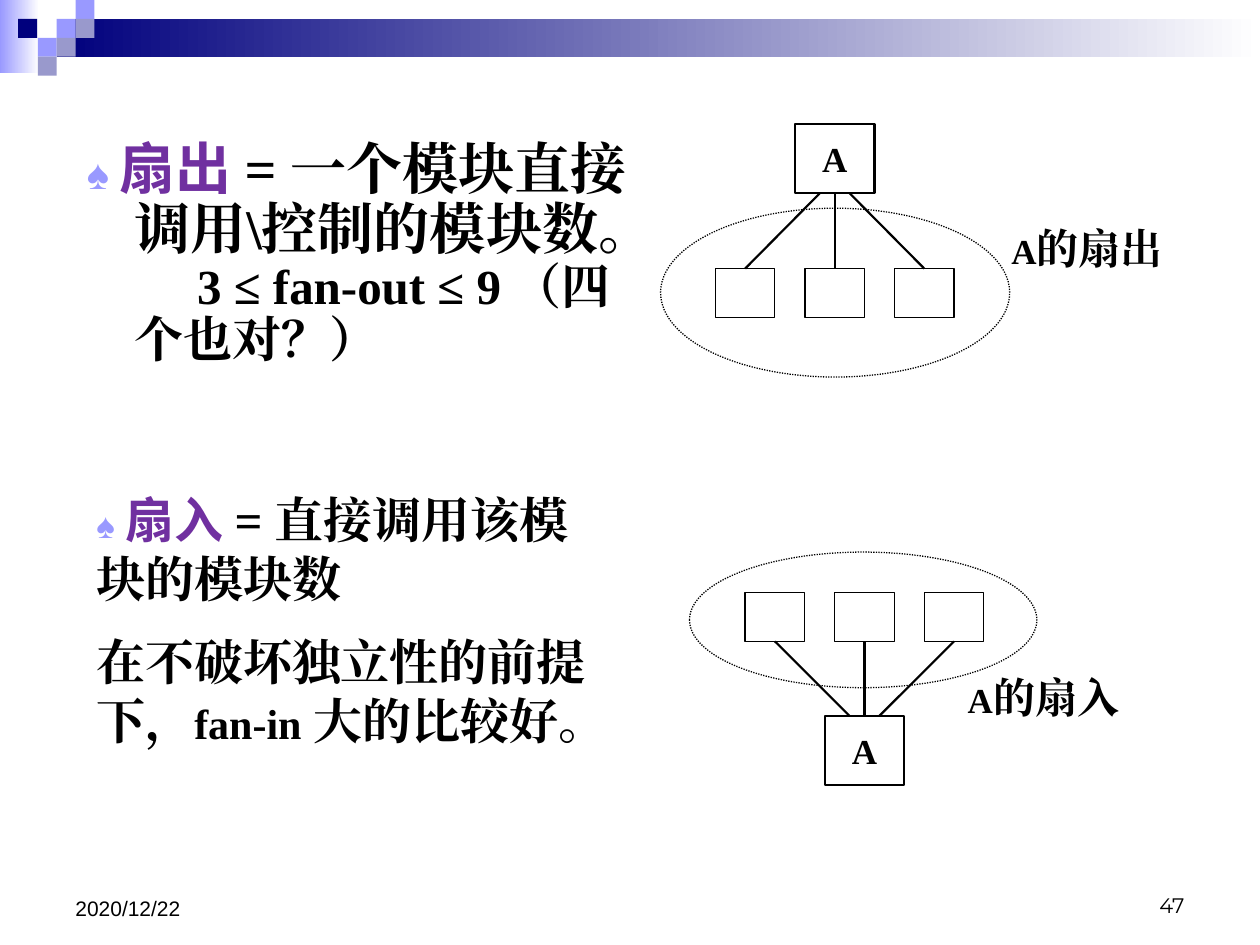
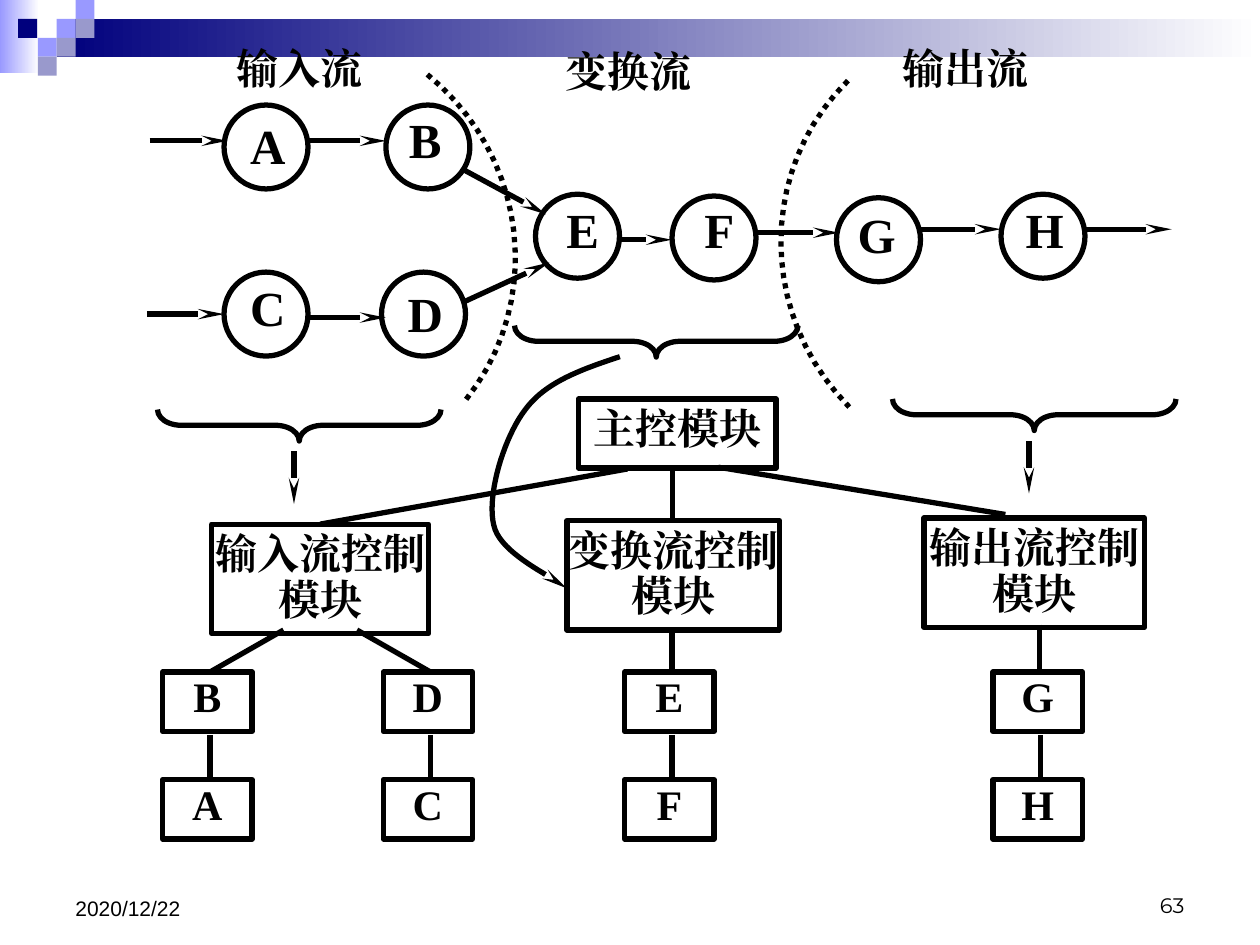
from lxml import etree
from pptx import Presentation
from pptx.dml.color import RGBColor
from pptx.enum.dml import MSO_LINE
from pptx.enum.shapes import MSO_CONNECTOR, MSO_SHAPE
from pptx.enum.text import MSO_ANCHOR, MSO_AUTO_SIZE, PP_ALIGN
from pptx.oxml.ns import qn
from pptx.util import Pt

RECT, OVAL, BRACE = MSO_SHAPE.RECTANGLE, MSO_SHAPE.OVAL, MSO_SHAPE.LEFT_BRACE
LEFT, CENTER, RIGHT, JUSTIFY = PP_ALIGN.LEFT, PP_ALIGN.CENTER, PP_ALIGN.RIGHT, PP_ALIGN.JUSTIFY
TOP, MIDDLE, BOTTOM = MSO_ANCHOR.TOP, MSO_ANCHOR.MIDDLE, MSO_ANCHOR.BOTTOM
DOTS = MSO_LINE.ROUND_DOT
STRAIGHT = MSO_CONNECTOR.STRAIGHT

BLACK, WHITE, PURPLE = "000000", "FFFFFF", "7030A0"
NAVY, LILAC, GREY_LILAC = "00007D", "9999FF", "9999CC"
SERIF, SANS, CJK, NUMERALS = "Times New Roman", "Arial", "Noto Sans CJK JP", "Montserrat"
DATE = "2020/12/22"

# Shared band: gradient bars and a mosaic of small squares
BARS = [(0, 0, 22.5, 42, LILAC), (32.4, 10.8, 687.6, 21.6, NAVY)]
TILE = 10.8
TILES = [(32.4, 10.8, LILAC), (43.2, 0, LILAC), (43.2, 10.8, GREY_LILAC),
         (21.6, 21.6, LILAC), (10.4, 10.8, NAVY), (32.4, 21.6, GREY_LILAC),
         (21.6, 32.4, GREY_LILAC)]

# Fan-out and fan-in
FAN_OUT_TEXT = [[
    ("♠ ", dict(size=24, color=LILAC)),
    ("扇出 ", dict(size=32, color=PURPLE, font=CJK)),
    ("= 一个模块直接调用\\控制的模块数。", dict(size=32)),
    ("\t3 ≤ fan-out ≤ 9\t（四个也对？）", dict(size=28)),
]]
FAN_OUT_TABS = (49.5, 116)
FAN_IN_TEXT = [
    [("♠", dict(size=20, color=LILAC)),
     (" ", dict(size=24)),
     ("扇入 ", dict(size=28, color=PURPLE, font=CJK)),
     ("= 直接调用该模块的模块数", dict(size=28))],
    [("在不破坏独立性的前提下，", dict(size=28)),
     ("fan-in", dict(size=24)),
     (" 大的比较好。", dict(size=28))],
]
FANS = [
    dict(center=477, hub_y=71, leaf_y=153.5, ellipse=(377.5, 119, 199.5, 96.5),
         label="的扇出", label_at=(576.5, 118, 105, 47), label_inset=(1.5, 3.6)),
    dict(center=494, hub_y=409, leaf_y=338.5, ellipse=(394, 315.5, 198.5, 77.5),
         label="的扇入", label_at=(551.5, 378, 94.5, 31), label_inset=(1.5, 0)),
]
HUB_W, HUB_H, LEAF_W, LEAF_H = 45.5, 39.5, 34, 28
LEAF_STEP, HUB_STEP = 51.2, 8.6

# Data flow diagram turned into a module tree
STREAMS = [("输入流", 128, 24), ("变换流", 316, 26), ("输出流", 508.5, 24)]
NODES = {  # name: circle left and top, letter left and top
    "A": (128, 60, 132, 66), "B": (220.5, 60, 222, 62.5),
    "C": (128, 155.5, 132, 158.5), "D": (218, 155.5, 222, 162),
    "E": (306, 111, 312, 114), "F": (384, 112, 390, 114),
    "G": (478, 113, 480, 116.5), "H": (572, 111, 576, 114),
}
FLOWS = [
    (175.5, 80.5, 220.5, 80.5), (175.5, 181.5, 220.5, 181.5),
    (85.5, 80.5, 130, 80.5), (84, 179.5, 128, 179.5),
    (264, 173, 314, 150), (354, 137, 384, 137), (264, 96.5, 312, 122.5),
    (432, 133, 479.5, 133), (525.5, 131, 572, 131), (620, 131, 669.5, 131),
    (168, 258, 168, 288), (588, 252, 588, 282),
]
BOUNDARIES = [  # start point, then control, control, end for each curve
    [(266.4, 228.2), (311, 172.1), (301.7, 89.3), (244.1, 42.5)],
    [(484.6, 46.1), (433.4, 96.5), (433.4, 180), (485.3, 232.6)],
]
MAPPING = [(354.2, 203.8), (332.6, 211), (311.8, 218.2), (300.2, 234),
           (288, 249.8), (277.9, 283), (282.2, 300.2),
           (285.8, 316.8), (316.8, 329.8), (324, 336.2)]
BRACES = [(162, 162), (582, 156), (366, 114)]
CONTROLS = [
    ("主控模块", 330.5, 228, 113, 39.5, 0.72),
    ("输入流控制模块", 121, 299.5, 124, 62.5, 0.9),
    ("变换流控制模块", 324, 297.5, 121.5, 62.5, 0.9),
    ("输出流控制模块", 528, 296, 126, 62.5, 0.9),
]
BRANCHES = [
    (358.5, 268, 183, 299.5), (384.5, 267, 384.5, 297.5), (410.5, 267, 574.5, 294),
    (162, 360, 120, 384), (204, 360, 246, 384), (384, 359.5, 384, 384.5),
    (594, 357, 594, 384.5),
]
MODULE_COLUMNS = [("BA", 93), ("DC", 219), ("EF", 357), ("GH", 567.5)]
MODULE_ROWS = (384, 445.5)


def rgb(color):
    return RGBColor.from_string(color)


def write(tf, paras, size=24, color=BLACK, font=SERIF, bold=True, align=LEFT,
          anchor=TOP, inset=(7.2, 3.6), spacing=None, gap=0):
    """Fill a text frame; paras is a string or lists of (text, run format)."""
    tf.word_wrap = True
    tf.auto_size = MSO_AUTO_SIZE.NONE
    tf.vertical_anchor = anchor
    tf.margin_left = tf.margin_right = Pt(inset[0])
    tf.margin_top = tf.margin_bottom = Pt(inset[1])
    base = dict(size=size, color=color, font=font, bold=bold)
    if isinstance(paras, str):
        paras = [[(paras, {})]]
    for i, runs in enumerate(paras):
        p = tf.add_paragraph() if i else tf.paragraphs[0]
        p.alignment = align
        p.space_before = Pt(gap if i else 0)
        if spacing:
            p.line_spacing = spacing
        for text, own in runs:
            fmt = {**base, **own}
            r = p.add_run()
            r.text = text
            r.font.size, r.font.bold, r.font.name = Pt(fmt["size"]), fmt["bold"], fmt["font"]
            r.font.color.rgb = rgb(fmt["color"])
            etree.SubElement(r.font._element, qn("a:ea"), typeface=fmt["font"])


def add_text(s, x, y, w, h, paras, **fmt):
    write(s.shapes.add_textbox(Pt(x), Pt(y), Pt(w), Pt(h)).text_frame, paras, **fmt)


def style(sp, fill=None, line=BLACK, width=3, dash=None):
    sp.shadow.inherit = False
    if fill:
        sp.fill.solid()
        sp.fill.fore_color.rgb = rgb(fill)
    else:
        sp.fill.background()
    if line:
        sp.line.color.rgb = rgb(line)
        sp.line.width = Pt(width)
        if dash:
            sp.line.dash_style = dash
    else:
        sp.line.fill.background()


def add_shape(s, kind, x, y, w, h, **look):
    sp = s.shapes.add_shape(kind, Pt(x), Pt(y), Pt(w), Pt(h))
    style(sp, **look)
    return sp


def add_arrowhead(sp):
    etree.SubElement(sp.line._get_or_add_ln(), qn("a:tailEnd"), type="stealth", w="sm", len="lg")


def add_line(s, x1, y1, x2, y2, width=3, arrow=False):
    c = s.shapes.add_connector(STRAIGHT, Pt(x1), Pt(y1), Pt(x2), Pt(y2))
    c.line.color.rgb = rgb(BLACK)
    c.line.width = Pt(width)
    if arrow:
        add_arrowhead(c)
    etree.SubElement(c._element.spPr, qn("a:effectLst"))


def add_curve(s, points, steps=20, dash=None):
    """Draw joined cubic curves through every third point."""
    path = []
    for i in range(0, len(points) - 1, 3):
        for k in range(1, steps + 1):
            t = k / steps
            weights = ((1 - t) ** 3, 3 * t * (1 - t) ** 2, 3 * t * t * (1 - t), t ** 3)
            path.append(tuple(Pt(sum(f * p[axis] for f, p in zip(weights, points[i:i + 4])))
                              for axis in (0, 1)))
    fb = s.shapes.build_freeform(Pt(points[0][0]), Pt(points[0][1]))
    fb.add_line_segments(path, close=False)
    sp = fb.convert_to_shape()
    style(sp, dash=dash)
    return sp


def add_band_to_master(prs, s):
    """Build the band on a slide, then move it to the slide master."""
    band = []
    for x, y, w, h, color in BARS:
        sp = add_shape(s, RECT, x, y, w, h, line=None)
        sp.fill.gradient()
        sp.fill.gradient_angle = 0
        for stop, stop_color, position in zip(sp.fill.gradient_stops, (color, WHITE), (0, 1)):
            stop.color.rgb = rgb(stop_color)
            stop.position = position
        band.append(sp)
    band += [add_shape(s, RECT, x, y, TILE, TILE, fill=color, line=None) for x, y, color in TILES]
    for sp in band:
        prs.slide_master.shapes.element.append(sp.element)


def add_footer(s, number):
    add_text(s, 516, 492, 168, 36, number, size=12, font=NUMERALS, bold=False,
             align=RIGHT, anchor=BOTTOM)
    add_text(s, 36, 492, 168, 37.5, DATE, size=12, font=SANS, bold=False, anchor=BOTTOM)


def add_fan(s, center, hub_y, leaf_y, ellipse, label, label_at, label_inset):
    hub = add_shape(s, RECT, center - HUB_W / 2, hub_y, HUB_W, HUB_H, fill=WHITE, width=1.25)
    write(hub.text_frame, "A", size=20, align=CENTER, inset=(1.5, 3), spacing=1.2)
    if hub_y < leaf_y:
        hub_edge, leaf_edge = hub_y + HUB_H, leaf_y
    else:
        hub_edge, leaf_edge = hub_y, leaf_y + LEAF_H
    for side in (-1, 0, 1):
        x = center + side * LEAF_STEP
        add_shape(s, RECT, x - LEAF_W / 2, leaf_y, LEAF_W, LEAF_H, fill=WHITE, width=0.75)
        add_line(s, center + side * HUB_STEP, hub_edge, x, leaf_edge, width=1.25)
    add_shape(s, OVAL, *ellipse, width=0.75, dash=DOTS)
    add_text(s, *label_at, [[("A", dict(size=20)), (label, {})]],
             align=JUSTIFY, inset=label_inset, spacing=1.2)


def fill_fan_slide(s):
    s.shapes.title.element.getparent().remove(s.shapes.title.element)
    body = s.placeholders[1]
    body.left, body.top, body.width, body.height = Pt(42.5), Pt(77), Pt(324), Pt(102)
    pPr = body.text_frame.paragraphs[0]._p.get_or_add_pPr()
    pPr.set("marL", str(Pt(27)))
    pPr.set("indent", str(-Pt(27)))
    etree.SubElement(pPr, qn("a:buNone"))
    tabs = etree.SubElement(pPr, qn("a:tabLst"))
    for pos in FAN_OUT_TABS:
        etree.SubElement(tabs, qn("a:tab"), pos=str(Pt(pos)), algn="l")
    write(body.text_frame, FAN_OUT_TEXT, spacing=0.9)
    for fan in FANS:
        add_fan(s, **fan)
    add_text(s, 48, 276, 306, 160, FAN_IN_TEXT, gap=14)


def fill_flow_slide(s):
    centered = dict(align=CENTER, anchor=MIDDLE, inset=(0, 0))
    for name, x, y in STREAMS:
        add_text(s, x, y, 86, 36, name, spacing=0.72, **centered)
    for name, (x, y, letter_x, letter_y) in NODES.items():
        add_shape(s, OVAL, x, y, 48, 48)
        add_text(s, letter_x, letter_y, 42, 34, name, size=28, **centered)
    for flow in FLOWS:
        add_line(s, *flow, arrow=True)
    for boundary in BOUNDARIES:
        add_curve(s, boundary, dash=DOTS)
    for x, y in BRACES:
        brace = add_shape(s, BRACE, x, y, 18, 162)
        brace.adjustments[0] = 0.75
        brace.rotation = 270
    for name, x, y, w, h, spacing in CONTROLS:
        write(add_shape(s, RECT, x, y, w, h).text_frame, name, spacing=spacing, **centered)
    for branch in BRANCHES:
        add_line(s, *branch)
    for names, x in MODULE_COLUMNS:
        for name, y in zip(names, MODULE_ROWS):
            write(add_shape(s, RECT, x, y, 51, 34).text_frame, name, spacing=0.72, **centered)
        add_line(s, x + 27, 420, x + 27, 444)
    add_arrowhead(add_curve(s, MAPPING))


def main():
    prs = Presentation()
    prs.slide_width, prs.slide_height = Pt(720), Pt(540)
    fan_slide = prs.slides.add_slide(prs.slide_layouts[1])
    flow_slide = prs.slides.add_slide(prs.slide_layouts[6])
    add_band_to_master(prs, fan_slide)
    for s, number, fill_slide in ((fan_slide, "47", fill_fan_slide),
                                  (flow_slide, "63", fill_flow_slide)):
        add_footer(s, number)
        fill_slide(s)
    prs.save("out.pptx")


if __name__ == "__main__":
    main()
